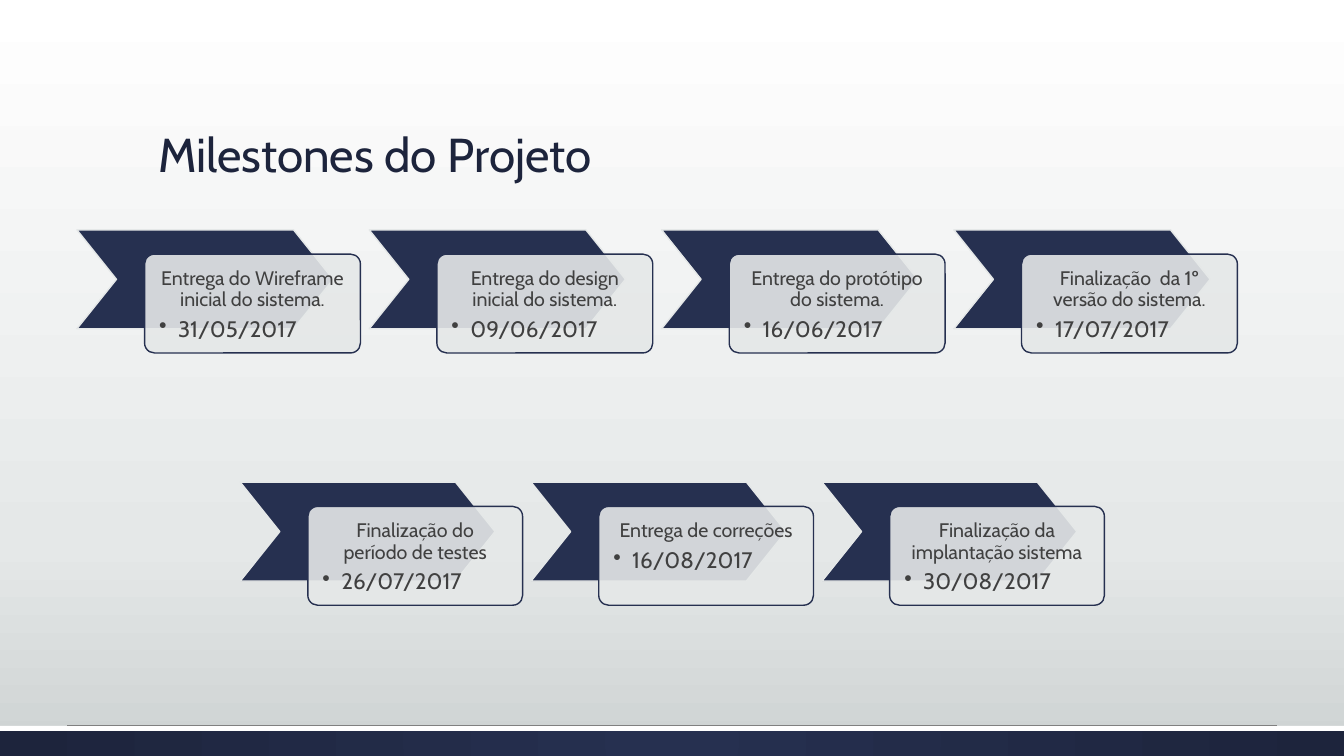
import dataclasses
import typing

import lxml.etree
import pptx
import pptx.dml.color
import pptx.enum.shapes
import pptx.enum.text
import pptx.oxml.ns
import pptx.util

Pt = pptx.util.Pt
Kind = pptx.enum.shapes.MSO_SHAPE
Align = pptx.enum.text.PP_ALIGN
Anchor = pptx.enum.text.MSO_ANCHOR
qn = pptx.oxml.ns.qn

FONT = "Cabin"
COLORS = {
    "navy": "263050",
    "dark": "1D243C",
    "pale": "E5E8E8",
    "mist": "CDD2D2",
    "white": "FFFFFF",
    "text": "404040",
    "rule": "808080",
}


@dataclasses.dataclass(frozen=True)
class Step:
    label: str
    date: str


@dataclasses.dataclass(frozen=True)
class Row:
    left: float
    top: float
    pitch: float
    arrow: float
    card: float
    steps: tuple[Step, ...]


HEIGHT = 70.6
SHIFT = (48.3, 17.3)
ROWS = (
    Row(55, 164.2, 208.8, 183, 154.2, (
        Step("Entrega do Wireframe inicial do sistema.", "31/05/2017"),
        Step("Entrega do design inicial do sistema.", "09/06/2017"),
        Step("Entrega do protótipo do sistema.", "16/06/2017"),
        Step("Finalização  da 1º versão do sistema.", "17/07/2017"),
    )),
    Row(171.6, 344.4, 207.8, 182, 153.4, (
        Step("Finalização do período de testes", "26/07/2017"),
        Step("Entrega de correções", "16/08/2017"),
        Step("Finalização da implantação sistema", "30/08/2017"),
    )),
)


def tint(name: str) -> pptx.dml.color.RGBColor:
    """Return the named colour."""
    return pptx.dml.color.RGBColor.from_string(COLORS[name])


def add(root: typing.Any, tag: str, **attrs: str) -> typing.Any:
    """Append an XML child with the given attributes."""
    return lxml.etree.SubElement(root, qn(tag), attrs)


def blend(fill: typing.Any, root: typing.Any, stops: dict[int, str]) -> typing.Any:
    """Give a fill new gradient stops and return its element."""
    fill.gradient()
    grad = root.find(".//" + qn("a:gradFill"))
    for child in list(grad):
        grad.remove(child)
    chain = add(grad, "a:gsLst")
    for spot, name in stops.items():
        stop = add(chain, "a:gs", pos=str(spot * 1000))
        add(stop, "a:srgbClr", val=COLORS[name])
    return grad


def shape(slide: typing.Any, kind: typing.Any, box: tuple[float, ...],
          fill: str, line: str = "") -> typing.Any:
    """Draw a filled shape without shadow."""
    item = slide.shapes.add_shape(kind, *map(Pt, box))
    item.shadow.inherit = False
    item.fill.solid()
    item.fill.fore_color.rgb = tint(fill)
    if line:
        item.line.color.rgb = tint(line)
        item.line.width = Pt(1)
    else:
        item.line.fill.background()
    return item


def style(para: typing.Any, size: float, name: str, after: float) -> None:
    """Set the font and spacing of a paragraph."""
    para.line_spacing = 0.9
    para.space_after = Pt(after)
    para.font.size = Pt(size)
    para.font.name = FONT
    para.font.color.rgb = tint(name)


def write(card: typing.Any, step: Step) -> None:
    """Write the label and the bulleted date on a card."""
    frame = card.text_frame
    frame.word_wrap = True
    frame.vertical_anchor = Anchor.TOP
    frame.margin_left = frame.margin_right = Pt(8.4)
    frame.margin_top = frame.margin_bottom = Pt(8.4)
    label = frame.paragraphs[0]
    label.text = step.label
    label.alignment = Align.CENTER
    style(label, 14, "text", 4.9)
    date = frame.add_paragraph()
    date.text = step.date
    date.level = 1
    date.alignment = Align.LEFT
    props = date._p.get_or_add_pPr()
    props.set("marL", str(Pt(13.5)))
    props.set("indent", str(Pt(-13.5)))
    add(props, "a:buChar", char="•")
    style(date, 16, "text", 2.4)


def draw(slide: typing.Any, row: Row) -> None:
    """Draw one row of milestones."""
    for index, step in enumerate(row.steps):
        left = row.left + index * row.pitch
        arrow = shape(slide, Kind.CHEVRON, (left, row.top, row.arrow, HEIGHT), "navy", "pale")
        arrow.adjustments[0] = 0.4
        box = (left + SHIFT[0], row.top + SHIFT[1], row.card, HEIGHT)
        card = shape(slide, Kind.ROUNDED_RECTANGLE, box, "pale", "navy")
        card.adjustments[0] = 0.1
        hue = card._element.spPr.find(qn("a:solidFill")).find(qn("a:srgbClr"))
        add(hue, "a:alpha", val="90000")
        write(card, step)


def frame(slide: typing.Any) -> None:
    """Draw the background, the rule and the bottom bar."""
    grad = blend(slide.background.fill, slide._element, {0: "white", 72: "pale", 100: "mist"})
    add(grad, "a:lin", ang="5400000", scaled="0")
    bar = shape(slide, Kind.RECTANGLE, (0, 518.4, 960, 21.6), "navy")
    grad = blend(bar.fill, bar._element, {0: "navy", 100: "dark"})
    shade = add(grad, "a:path", path="circle")
    add(shade, "a:fillToRect", l="50000", t="50000", r="50000", b="50000")
    shape(slide, Kind.RECTANGLE, (0, 518.4, 960, 3.6), "white")
    straight = pptx.enum.shapes.MSO_CONNECTOR.STRAIGHT
    rule = slide.shapes.add_connector(straight, Pt(48), Pt(518), Pt(912), Pt(518))
    rule.line.color.rgb = tint("rule")
    rule.line.width = Pt(0.75)
    add(rule._element.spPr, "a:effectLst")


def head(slide: typing.Any) -> None:
    """Place and format the title."""
    title = slide.shapes.title
    title.left, title.top, title.width, title.height = map(Pt, (105.8, 36.7, 748.8, 97.2))
    title.text_frame.text = "Milestones do Projeto"
    title.text_frame.vertical_anchor = Anchor.BOTTOM
    title.text_frame.auto_size = pptx.enum.text.MSO_AUTO_SIZE.NONE
    para = title.text_frame.paragraphs[0]
    para.alignment = Align.LEFT
    style(para, 34, "dark", 0)


def main() -> None:
    """Build and save the slide."""
    deck = pptx.Presentation()
    deck.slide_width, deck.slide_height = Pt(960), Pt(540)
    slide = deck.slides.add_slide(deck.slide_layouts[5])
    frame(slide)
    head(slide)
    for row in ROWS:
        draw(slide, row)
    deck.save("out.pptx")


if __name__ == "__main__":
    main()
